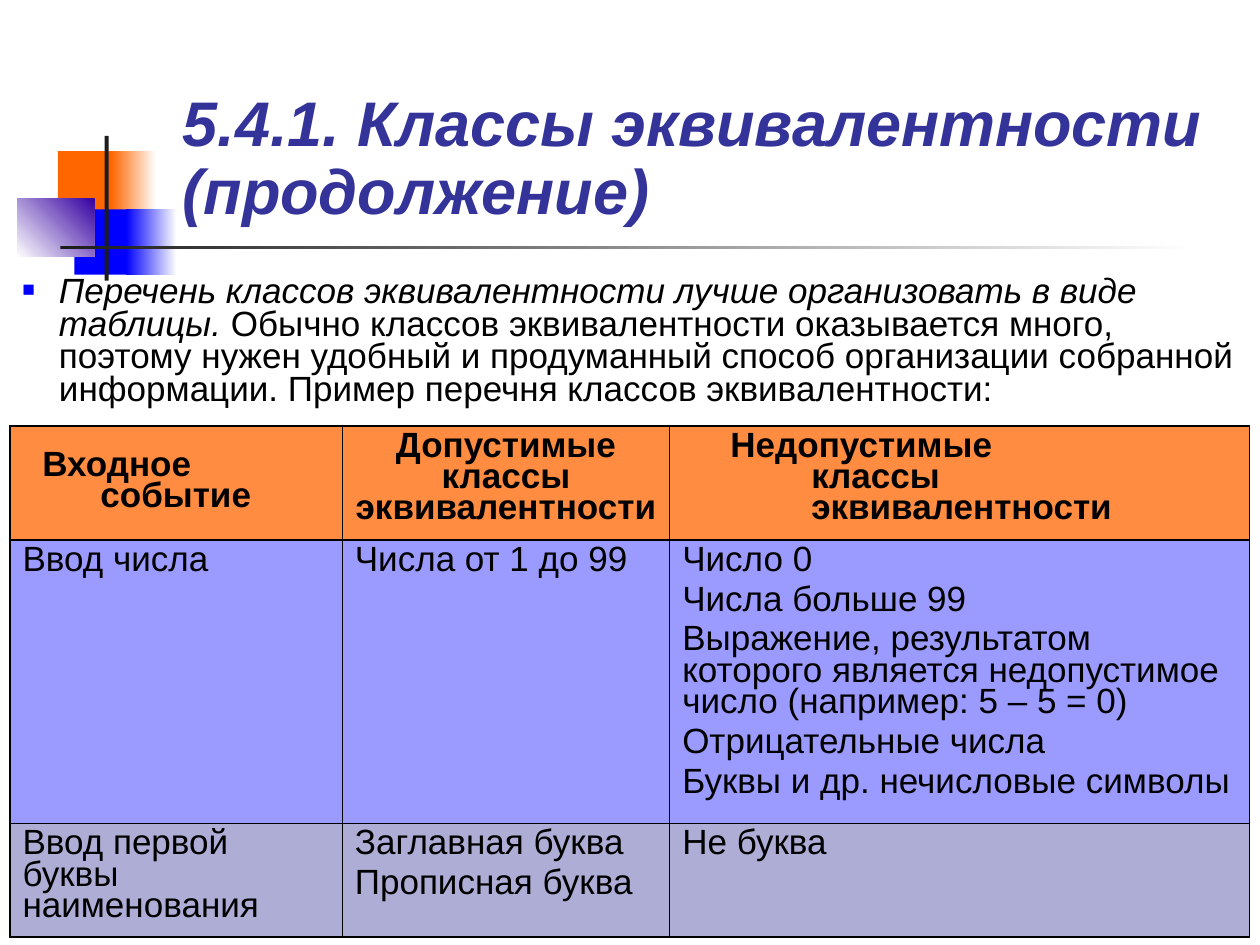
from lxml import etree
from pptx import Presentation
from pptx.dml.color import RGBColor
from pptx.enum.shapes import MSO_SHAPE
from pptx.enum.text import MSO_ANCHOR, MSO_AUTO_SIZE, PP_ALIGN
from pptx.oxml.ns import qn
from pptx.util import Cm, Pt

RECT = MSO_SHAPE.RECTANGLE
TOP, MIDDLE, BOTTOM = MSO_ANCHOR.TOP, MSO_ANCHOR.MIDDLE, MSO_ANCHOR.BOTTOM
LEFT, CENTER = PP_ALIGN.LEFT, PP_ALIGN.CENTER

BLACK = RGBColor(0x00, 0x00, 0x00)
WHITE = RGBColor(0xFF, 0xFF, 0xFF)
INK = RGBColor(0x1C, 0x1C, 0x1C)
ORANGE = RGBColor(0xFF, 0x66, 0x00)
BLUE = RGBColor(0x00, 0x00, 0xFF)
PURPLE = RGBColor(0x37, 0x02, 0xA2)
INDIGO = RGBColor(0x33, 0x33, 0x99)
LILAC = RGBColor(0x9B, 0x9B, 0xFF)

THICK, THIN = Pt(1.08), Pt(0.45)


def child(parent, tag, **attrs):
    return etree.SubElement(parent, qn(tag), {k: str(v) for k, v in attrs.items()})


def add_text(p, text, size=20, color=BLACK, bold=False, italic=False, font="Arial"):
    """Add formatted text to a paragraph; a newline becomes a line break."""
    for i, line in enumerate(text.split("\n")):
        if i:
            p.add_line_break()
        r = p.add_run()
        r.text = line
        r.font.name, r.font.size, r.font.color.rgb = font, Pt(size), color
        r.font.bold, r.font.italic = bold, italic


def set_indent(p, left, first):
    pPr = p._p.get_or_add_pPr()
    pPr.set("marL", str(Cm(left)))
    pPr.set("indent", str(Cm(first)))


def add_bullet(p, char, color, percent):
    pPr = p._p.get_or_add_pPr()
    child(child(pPr, "a:buClr"), "a:srgbClr", val=color)
    child(pPr, "a:buSzPct", val=percent * 1000)
    child(pPr, "a:buFont", typeface="Arial")
    child(pPr, "a:buChar", char=char)


class SlideBuilder:
    def __init__(self, prs):
        self.s = prs.slides.add_slide(prs.slide_layouts[5])
        self.title_size = 36
        self.line_spacing = 0.8
        self.space_before = Pt(5)

    def title(self, text, left, top, width, height):
        sp = self.s.shapes.title
        sp.left, sp.top, sp.width, sp.height = Cm(left), Cm(top), Cm(width), Cm(height)
        tf = sp.text_frame
        tf.word_wrap, tf.auto_size = True, MSO_AUTO_SIZE.NONE
        tf.vertical_anchor = BOTTOM
        p = tf.paragraphs[0]
        p.alignment, p.line_spacing = LEFT, 0.9
        add_text(p, text, size=self.title_size, color=INDIGO, bold=True, italic=True)

    def block(self, left, top, width, height, color, fade_to=None, angle=0):
        sp = self.s.shapes.add_shape(RECT, Cm(left), Cm(top), Cm(width), Cm(height))
        sp.shadow.inherit = False
        sp.line.fill.background()
        if fade_to is None:
            sp.fill.solid()
            sp.fill.fore_color.rgb = color
            return
        sp.fill.gradient()
        sp.fill.gradient_angle = angle
        for stop, rgb, position in zip(sp.fill.gradient_stops, (color, fade_to), (0, 1)):
            stop.color.rgb, stop.position = rgb, position

    def bullet_text(self, lead, rest, left, top, width, height):
        sp = self.s.shapes.add_textbox(Cm(left), Cm(top), Cm(width), Cm(height))
        tf = sp.text_frame
        tf.word_wrap = True
        p = tf.paragraphs[0]
        set_indent(p, 0.74, -0.74)
        add_bullet(p, "■", BLUE, 60)
        p.line_spacing = 0.78
        add_text(p, lead, italic=True)
        add_text(p, rest)

    def table(self, rows, left, top, widths, heights, fills):
        shape = self.s.shapes.add_table(len(heights), len(widths), Cm(left), Cm(top),
                                        Cm(sum(widths)), Cm(sum(heights)))
        tbl = shape.table
        tbl.horz_banding = False
        for col, width in zip(tbl.columns, widths):
            col.width = Cm(width)
        for row, height in zip(tbl.rows, heights):
            row.height = Cm(height)
        last_row, last_col = len(heights) - 1, len(widths) - 1
        for i, texts in enumerate(rows):
            for j, paragraphs in enumerate(texts):
                cell = tbl.cell(i, j)
                self.cell_text(cell, paragraphs, header=i == 0)
                self.cell_fill(cell, *fills[i])
                self.cell_borders(cell, (
                    ("a:lnL", THICK if j == 0 else THIN),
                    ("a:lnR", THICK if j == last_col else THIN),
                    ("a:lnT", THICK if i <= 1 else THIN),
                    ("a:lnB", THICK if i in (0, last_row) else THIN)))
        return tbl

    def cell_text(self, cell, paragraphs, header):
        tf = cell.text_frame
        for k, text in enumerate(paragraphs):
            p = tf.add_paragraph() if k else tf.paragraphs[0]
            p.alignment = CENTER if header else LEFT
            p.line_spacing = self.line_spacing
            if k:
                p.space_before = self.space_before
            add_text(p, text, bold=header)

    def cell_fill(self, cell, color, opacity=100):
        cell.fill.solid()
        cell.fill.fore_color.rgb = color
        if opacity < 100:
            clr = cell._tc.tcPr.find(".//" + qn("a:srgbClr"))
            child(clr, "a:alpha", val=opacity * 1000)

    def cell_borders(self, cell, borders):
        tcPr = cell._tc.get_or_add_tcPr()
        for k, (tag, width) in enumerate(borders):
            ln = child(tcPr, tag, w=int(width))
            child(child(ln, "a:solidFill"), "a:srgbClr", val=BLACK)
            tcPr.insert(k, ln)


def main():
    prs = Presentation()
    prs.slide_width, prs.slide_height = Cm(25.4), Cm(19.05)
    b = SlideBuilder(prs)

    b.block(1.17, 3.05, 1.22, 1.32, ORANGE)
    b.block(2.24, 3.05, 0.91, 1.32, ORANGE, fade_to=WHITE)
    b.block(1.5, 4.22, 1.17, 1.32, BLUE)
    b.block(2.54, 4.22, 1.02, 1.32, BLUE, fade_to=WHITE)
    b.block(0.35, 4.01, 1.55, 1.17, WHITE, fade_to=PURPLE, angle=45)
    b.block(2.11, 2.74, 0.08, 2.92, INK)
    b.block(1.22, 4.95, 22.86, 0.08, INK, fade_to=WHITE)

    b.title("5.4.1. Классы эквивалентности (продолжение)", 3.43, 0.33, 21.67, 4.39)
    b.bullet_text(
        "Перечень классов эквивалентности лучше организовать в виде таблицы. ",
        "Обычно классов эквивалентности оказывается много, поэтому нужен удобный "
        "и продуманный способ организации собранной информации. "
        "Пример перечня классов эквивалентности:",
        0.2, 5.46, 25.04, 3.12)

    rows = [
        [["Входное\nсобытие"],
         ["Допустимые классы эквивалентности"],
         ["Недопустимые\nклассы\nэквивалентности"]],
        [["Ввод числа"],
         ["Числа от 1 до 99"],
         ["Число 0", "Числа больше 99",
          "Выражение, результатом которого является недопустимое число "
          "(например: 5 – 5 = 0)",
          "Отрицательные числа", "Буквы и др. нечисловые символы"]],
        [["Ввод первой буквы наименования"],
         ["Заглавная буква", "Прописная буква"],
         ["Не буква"]],
    ]
    tbl = b.table(rows, 0.2, 8.59, widths=(6.7, 6.6, 11.69), heights=(2.29, 5.72, 2.29),
                  fills=((ORANGE, 75), (LILAC,), (INDIGO, 40)))
    tbl.cell(0, 0).vertical_anchor = MIDDLE
    for col, left, first in ((0, 1.57, -1.17), (2, 2.6, -1.63)):
        p = tbl.cell(0, col).text_frame.paragraphs[0]
        p.alignment = LEFT
        set_indent(p, left, first)

    prs.save("out.pptx")


if __name__ == "__main__":
    main()
